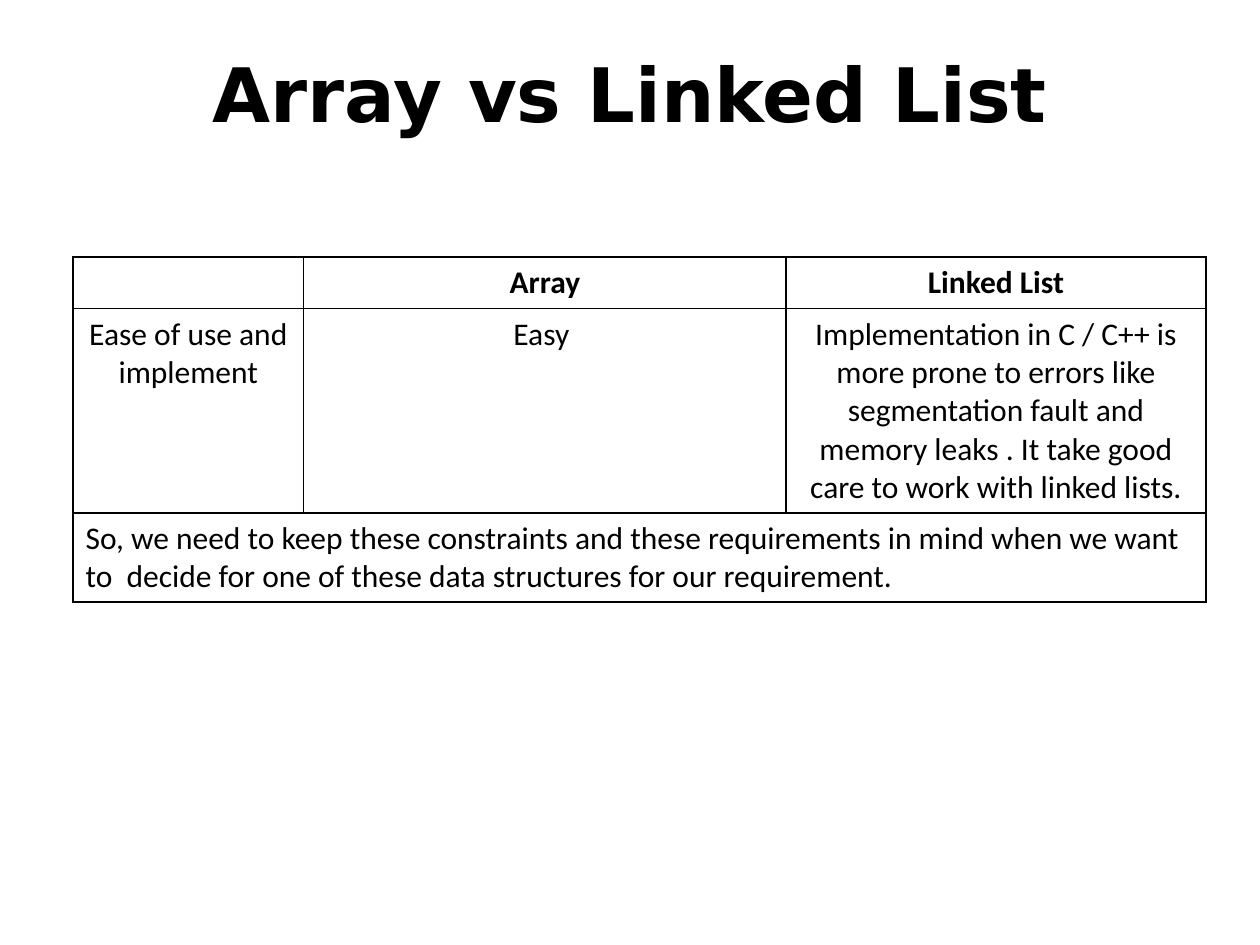
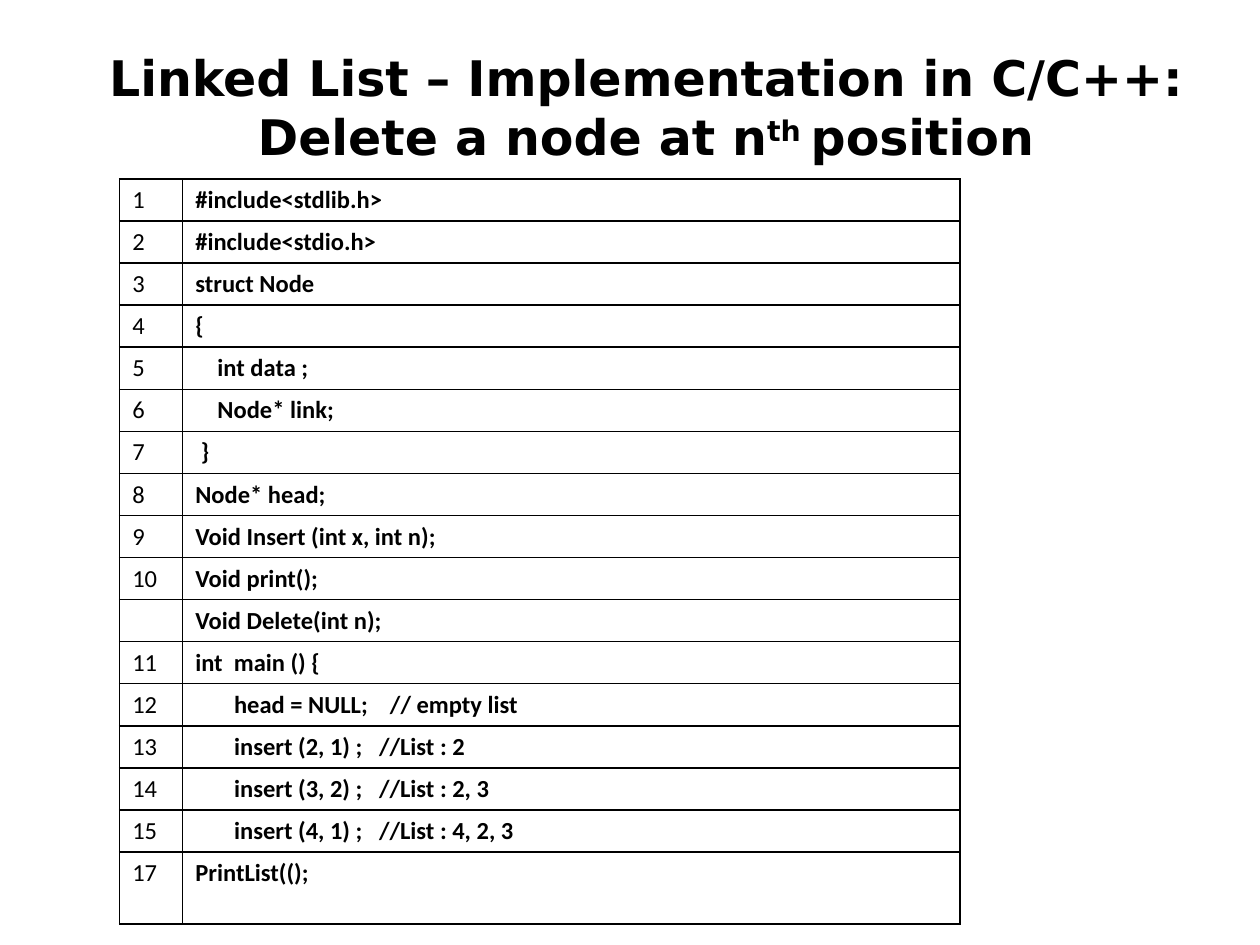
from dataclasses import dataclass

from lxml import etree
from pptx import Presentation
from pptx import util as u
from pptx.dml.color import RGBColor
from pptx.enum import text
from pptx.oxml import ns


@dataclass(frozen=True)
class Theme:
    ink: str = "000000"
    title_font: str = "DejaVu Sans"
    body_font: str = "Calibri"
    title_size: float = 42.9
    long_title_size: float = 28
    comparison_size: float = 18
    code_size: float = 14
    border_width: float = 1


THEME = Theme()

COMPARISON_TITLE = [("Array vs Linked List", 0)]
COMPARISON_ROWS = [
    ("", "Array", "Linked List"),
    (
        "Ease of use and implement",
        "Easy ",
        "Implementation in C / C++ is more prone to errors like segmentation fault "
        "and memory leaks . It take good care to work with linked lists.",
    ),
    (
        "So, we need to keep these constraints and these requirements in mind when we "
        "want to  decide for one of these data structures for our requirement.",
        "",
        "",
    ),
]

CODE_TITLE = [
    ("Linked List – Implementation in C/C++: Delete a node at n", 0),
    ("th ", 30000),
    ("position", 0),
]
CODE_ROWS = [
    ("1", "#include<stdlib.h>"),
    ("2", "#include<stdio.h>"),
    ("3", "struct Node"),
    ("4", "{"),
    ("5", "    int data ;"),
    ("6", "    Node* link;"),
    ("7", " }"),
    ("8", "Node* head;"),
    ("9", "Void Insert (int x, int n);"),
    ("10", "Void print();"),
    ("", "Void Delete(int n);"),
    ("11", "int  main () {"),
    ("12", "       head = NULL;    // empty list"),
    ("13", "       insert (2, 1) ;   //List : 2"),
    ("14", "       insert (3, 2) ;   //List : 2, 3"),
    ("15", "       insert (4, 1) ;   //List : 4, 2, 3"),
    ("17", "PrintList(();"),
]


def style_run(run, font_name, size, bold):
    run.font.name = font_name
    run.font.size = u.Pt(size)
    run.font.bold = bold
    run.font.color.rgb = RGBColor.from_string(THEME.ink)


def add_title(slide, pieces, width, size):
    box = slide.shapes.add_textbox(
        u.Inches(0.5), u.Inches(0.3), u.Inches(width), u.Inches(1.25)
    )
    frame = box.text_frame
    frame.word_wrap = True
    frame.margin_top = u.Inches(0.08)
    paragraph = frame.paragraphs[0]
    paragraph.alignment = text.PP_ALIGN.CENTER
    for words, baseline in pieces:
        run = paragraph.add_run()
        run.text = words
        style_run(run, THEME.title_font, size, True)
        if baseline:
            run._r.get_or_add_rPr().set("baseline", str(baseline))


def add_borders(cell):
    properties = cell._tc.get_or_add_tcPr()
    for position, side in enumerate(("lnL", "lnR", "lnT", "lnB")):
        line = etree.Element(ns.qn(f"a:{side}"), w=str(u.Pt(THEME.border_width)))
        fill = etree.SubElement(line, ns.qn("a:solidFill"))
        etree.SubElement(fill, ns.qn("a:srgbClr"), val=THEME.ink)
        properties.insert(position, line)


def style_cell(cell, words, size, bold, alignment):
    cell.fill.background()
    add_borders(cell)
    cell.text_frame.text = words
    paragraph = cell.text_frame.paragraphs[0]
    paragraph.alignment = alignment
    for run in paragraph.runs:
        style_run(run, THEME.body_font, size, bold)
    if not words:
        etree.SubElement(paragraph._p, ns.qn("a:endParaRPr"), sz=str(size * 100))


def add_grid(slide, rows, left, top, widths, heights, size, is_bold, align):
    frame = slide.shapes.add_table(
        len(rows), len(widths), u.Inches(left), u.Inches(top),
        u.Inches(sum(widths)), u.Inches(sum(heights)),
    )
    table = frame.table
    table.first_row = False
    table.horz_banding = False
    for column, width in zip(table.columns, widths):
        column.width = u.Inches(width)
    for row, height in zip(table.rows, heights):
        row.height = u.Inches(height)
    for r, row in enumerate(rows):
        for c, words in enumerate(row):
            style_cell(table.cell(r, c), words, size, is_bold(r, c), align(r))
    return table


def build_comparison(slide):
    add_title(slide, COMPARISON_TITLE, 9, THEME.title_size)
    last = len(COMPARISON_ROWS) - 1
    table = add_grid(
        slide, COMPARISON_ROWS, 0.58, 2.04,
        widths=(1.83, 3.83, 3.33),
        heights=(0.41, 1.62, 0.71),
        size=THEME.comparison_size,
        is_bold=lambda r, c: r == 0,
        align=lambda r: text.PP_ALIGN.LEFT if r == last else text.PP_ALIGN.CENTER,
    )
    table.cell(last, 0).merge(table.cell(last, 2))


def build_code(slide):
    add_title(slide, CODE_TITLE, 9.25, THEME.long_title_size)
    add_grid(
        slide, CODE_ROWS, 0.95, 1.42,
        widths=(0.5, 6.17),
        heights=[0.33] * (len(CODE_ROWS) - 1) + [0.57],
        size=THEME.code_size,
        is_bold=lambda r, c: c == 1,
        align=lambda r: text.PP_ALIGN.LEFT,
    )


def main():
    presentation = Presentation()
    presentation.slide_width = u.Inches(10)
    presentation.slide_height = u.Inches(7.5)
    blank = presentation.slide_layouts[6]
    for build in (build_comparison, build_code):
        build(presentation.slides.add_slide(blank))
    presentation.save("out.pptx")


if __name__ == "__main__":
    main()
